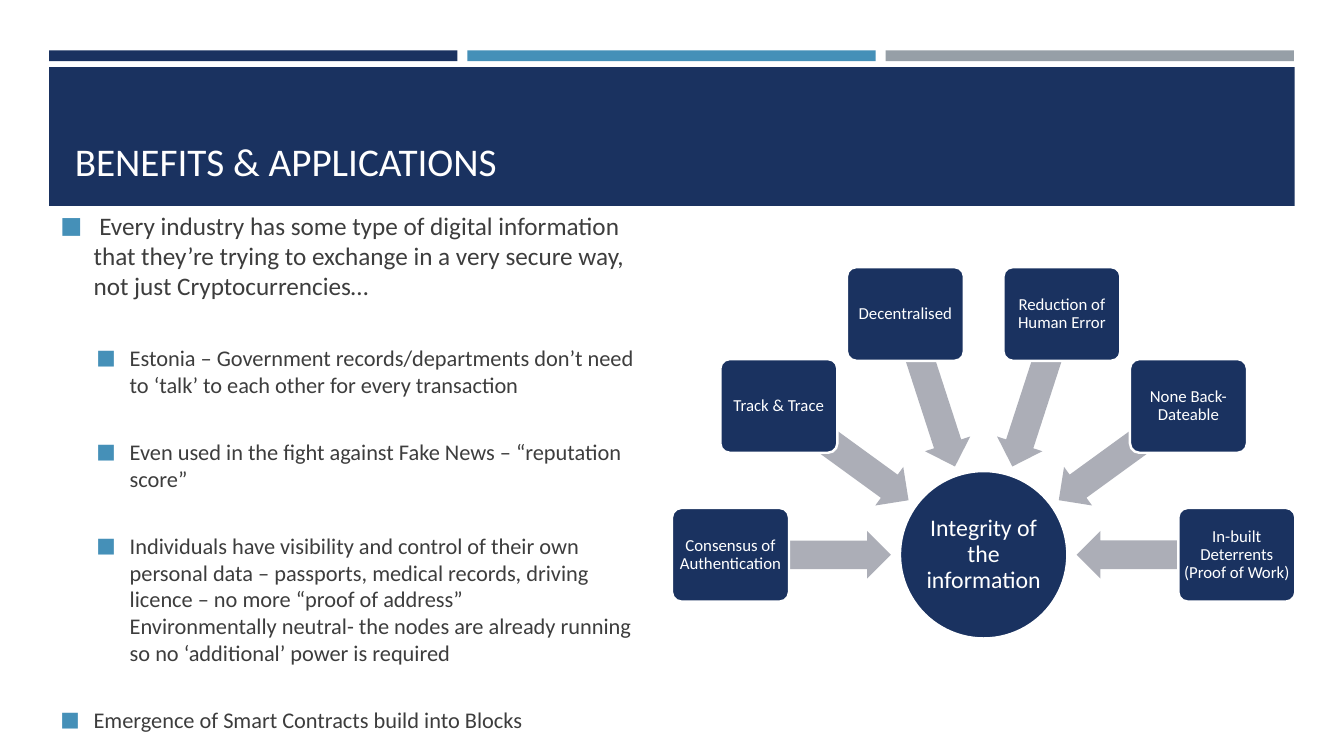
import math
import pptx
import pptx.util
import pptx.dml.color
import pptx.enum.shapes
import pptx.enum.text
import pptx.oxml.ns
from lxml import etree

Cm, Pt = pptx.util.Cm, pptx.util.Pt
KIND = pptx.enum.shapes.MSO_SHAPE
ALIGN = pptx.enum.text.PP_ALIGN
ANCHOR = pptx.enum.text.MSO_ANCHOR
qn = pptx.oxml.ns.qn

# Content
FONT = "Calibri"
COLORS = {"navy": "1A3260", "blue": "4590B8", "gray": "969FA7",
          "arrow": "ACAEB7", "white": "FFFFFF", "ink": "3D3D3D"}
TITLE = "BENEFITS & APPLICATIONS"
# Level, size, space before, text
POINTS = [
    (0, 18, 3.6, " Every industry has some type of digital information that "
     "they’re trying to exchange in a very secure way, not just Cryptocurrencies…"),
    (1, 16, 31, "Estonia – Government records/departments don’t need to ‘talk’ "
     "to each other for every transaction"),
    (1, 16, 28.6, "Even used in the fight against Fake News – “reputation score”"),
    (1, 16, 28.6, "Individuals have visibility and control of their own personal "
     "data – passports, medical records, driving licence – no more “proof of "
     "address”\nEnvironmentally neutral- the nodes are already running so no "
     "‘additional’ power is required"),
    (0, 16, 28.6, "Emergence of Smart Contracts build into Blocks"),
]
HUB = "Integrity of the information"
CAUSES = ["Consensus of Authentication", "Track & Trace", "Decentralised",
          "Reduction of Human Error", "None Back-Dateable",
          "In-built Deterrents (Proof of Work)"]


def paint(name):
    return pptx.dml.color.RGBColor.from_string(COLORS[name])


def write(para, text, size=12, color="white", align=ALIGN.LEFT,
          before=0, leading=None):
    para.text = text
    para.alignment = align
    para.space_before, para.space_after = Pt(before), Pt(0)
    if leading:
        para.line_spacing = leading
    for run in para.runs:
        run.font.size = Pt(size)
        run.font.name = FONT
        run.font.color.rgb = paint(color)
    for gap in para._p.findall(qn("a:br")):
        etree.SubElement(gap, qn("a:rPr"), sz=str(size * 100))


def bullet(para, level):
    para.level = level
    props = para._p.get_or_add_pPr()
    props.set("marL", str(Cm(0.84 + 0.91 * level)))
    props.set("indent", str(-Cm(0.84)))
    tint = etree.SubElement(props, qn("a:buClr"))
    etree.SubElement(tint, qn("a:srgbClr"), val=COLORS["blue"])
    etree.SubElement(props, qn("a:buSzPct"), val="92000")
    etree.SubElement(props, qn("a:buFont"), typeface=FONT)
    etree.SubElement(props, qn("a:buChar"), char="■")


def shape(kind, left, top, width, height, fill, line=None):
    item = slide.shapes.add_shape(kind, Cm(left), Cm(top), Cm(width), Cm(height))
    item.shadow.inherit = False
    item.fill.solid()
    item.fill.fore_color.rgb = paint(fill)
    if line:
        item.line.color.rgb = paint(line)
        item.line.width = Pt(1.75)
    else:
        item.line.fill.background()
    return item


def center(kind, x, y, width, height, fill, line=None):
    return shape(kind, x - width / 2, y - height / 2, width, height, fill, line)


def inset(frame, gap):
    frame.margin_left = frame.margin_right = Cm(gap)
    frame.margin_top = frame.margin_bottom = Cm(gap)


def label(item, text, size, gap):
    frame = item.text_frame
    frame.word_wrap = True
    frame.vertical_anchor = ANCHOR.MIDDLE
    inset(frame, gap)
    write(frame.paragraphs[0], text, size=size, align=ALIGN.CENTER, leading=0.9)


deck = pptx.Presentation()
deck.slide_width, deck.slide_height = Cm(33.87), Cm(19.05)
slide = deck.slides.add_slide(deck.slide_layouts[5])

# Top strips and banner
for col, name in enumerate(["navy", "blue", "gray"]):
    shape(KIND.RECTANGLE, 1.24 + 10.54 * col, 1.27, 10.29, 0.27, name)
shape(KIND.RECTANGLE, 1.24, 1.69, 31.39, 3.5, "navy")

# Title, brought in front of the banner
title = slide.shapes.title
title._element.getparent().append(title._element)
title.left, title.top = Cm(1.63), Cm(2.03)
title.width, title.height = Cm(30.63), Cm(2.74)
title.text_frame.vertical_anchor = ANCHOR.BOTTOM
write(title.text_frame.paragraphs[0], TITLE, size=28)

# Bullet list
body = slide.shapes.add_textbox(Cm(1.27), Cm(5.61), Cm(15.06), Cm(12.55))
frame = body.text_frame
frame.word_wrap = True
frame.vertical_anchor = ANCHOR.MIDDLE
for row, (level, size, before, text) in enumerate(POINTS):
    para = frame.add_paragraph() if row else frame.paragraphs[0]
    write(para, text, size=size, color="ink", before=before)
    bullet(para, level)

# Hub with causes fanned over a half circle
MID_X, MID_Y = 24.79, 13.98
ARROW_R, BOX_R = 4.36, 6.38
hub = center(KIND.OVAL, MID_X, MID_Y, 4.22, 4.22, "navy", "white")
label(hub, HUB, 17, 0.03)
step = 180 / (len(CAUSES) - 1)
for spot, cause in enumerate(CAUSES):
    angle = 180 + step * spot
    dx, dy = math.cos(math.radians(angle)), math.sin(math.radians(angle))
    arrow = center(KIND.LEFT_ARROW, MID_X + ARROW_R * dx, MID_Y + ARROW_R * dy,
                   4.04, 1.2, "arrow")
    arrow.adjustments[0], arrow.adjustments[1] = 0.6, 0.5
    arrow.rotation = angle % 360
    box = center(KIND.ROUNDED_RECTANGLE, MID_X + BOX_R * dx, MID_Y + BOX_R * dy,
                 2.95, 2.36, "navy", "white")
    box.adjustments[0] = 0.1
    label(box, cause, 12, 0.07)

deck.save("out.pptx")
